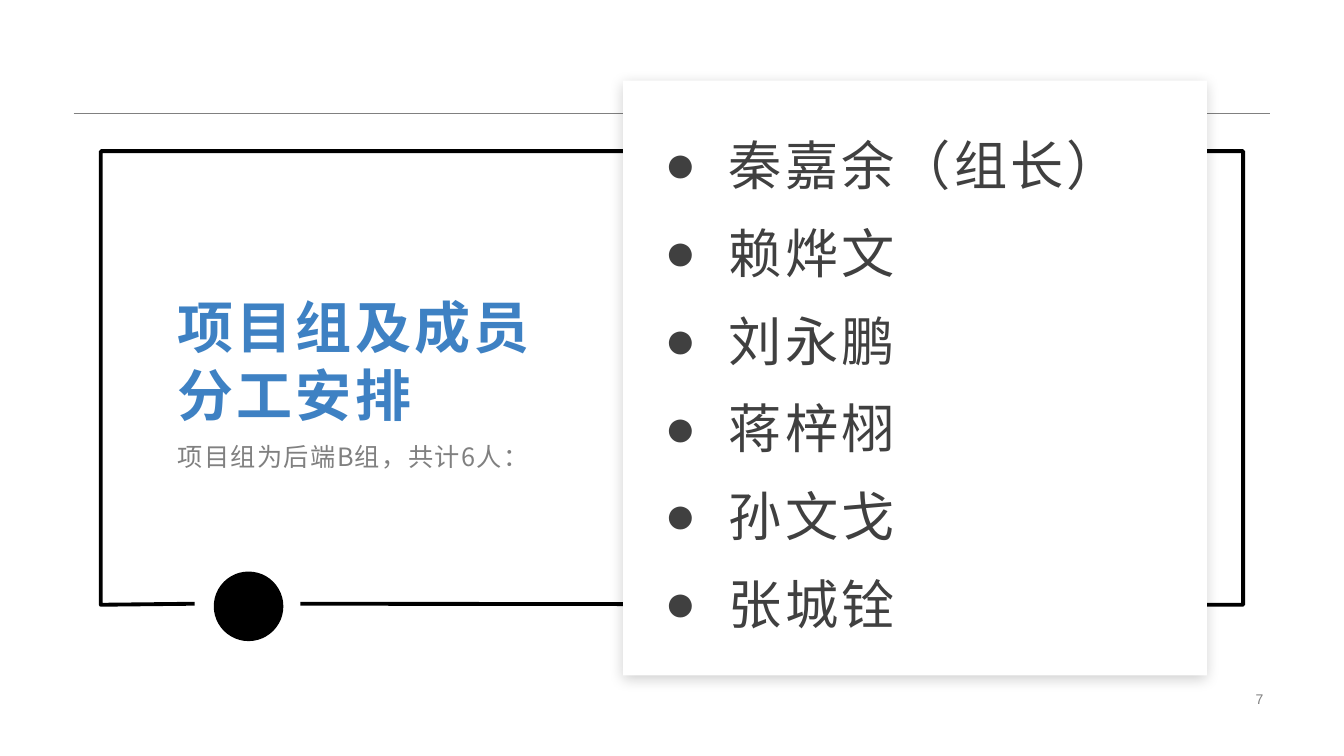
from dataclasses import dataclass

from lxml.etree import SubElement
from pptx import Presentation
from pptx.dml.color import RGBColor
from pptx.enum.shapes import MSO_CONNECTOR, MSO_SHAPE
from pptx.enum.text import MSO_ANCHOR, PP_ALIGN
from pptx.oxml.ns import qn
from pptx.util import Pt

PX = 9144


@dataclass(frozen=True)
class Theme:
    font: str = "Noto Sans CJK SC"
    number_font: str = "Arial"
    black: str = "000000"
    white: str = "FFFFFF"
    gray: str = "808080"
    blue: str = "3E81C3"
    body: str = "404040"
    shadow: str = "0D0D0D"
    title_size: int = 40
    subtitle_size: int = 18
    member_size: int = 38
    number_size: int = 10


THEME = Theme()
MEMBERS = ["秦嘉余（组长）", "赖烨文", "刘永鹏", "蒋梓栩", "孙文戈", "张城铨"]


def px(*lengths):
    return [length * PX for length in lengths]


def color(value):
    return RGBColor.from_string(value)


def add_rule(slide, start, end):
    line = slide.shapes.add_connector(MSO_CONNECTOR.STRAIGHT, *px(*start, *end))
    line.line.color.rgb = color(THEME.gray)
    line.line.width = Pt(0.25)
    SubElement(line._element.spPr, qn("a:effectLst"))


def add_frame(slide, points):
    builder = slide.shapes.build_freeform(*points[0], scale=PX)
    builder.add_line_segments(points[1:], close=False)
    frame = builder.convert_to_shape()
    frame.shadow.inherit = False
    frame.fill.background()
    frame.line.color.rgb = color(THEME.black)
    frame.line.width = Pt(2.75)


def add_block(slide, preset, box, fill):
    shape = slide.shapes.add_shape(preset, *px(*box))
    shape.shadow.inherit = False
    shape.fill.solid()
    shape.fill.fore_color.rgb = color(fill)
    shape.line.fill.background()
    return shape


def add_shadow(shape):
    effects = shape._element.spPr.find(qn("a:effectLst"))
    shadow = SubElement(
        effects, qn("a:outerShdw"), blurRad=str(Pt(10)), dist=str(Pt(3)),
        dir="5400000", algn="t", rotWithShape="0",
    )
    tint = SubElement(shadow, qn("a:srgbClr"), val=THEME.shadow)
    SubElement(tint, qn("a:alpha"), val="20000")


def add_text(slide, box, text, size, ink, font=THEME.font, bold=False,
             spacing=0, anchor=MSO_ANCHOR.TOP, align=PP_ALIGN.LEFT):
    text_frame = slide.shapes.add_textbox(*px(*box)).text_frame
    text_frame.word_wrap = True
    text_frame.vertical_anchor = anchor
    text_frame.margin_left, text_frame.margin_right = px(7, 7)
    text_frame.margin_top, text_frame.margin_bottom = px(3, 3)
    text_frame.text = text
    for paragraph in text_frame.paragraphs:
        paragraph.alignment = align
        for run in paragraph.runs:
            run.font.name = font
            run.font.size = Pt(size)
            run.font.bold = bold
            run.font.color.rgb = color(ink)
            properties = run.font._element
            properties.set("spc", str(round(spacing * 100)))
            SubElement(properties, qn("a:ea"), typeface=font)
    return text_frame


def add_bullets(text_frame, indent):
    for paragraph in text_frame.paragraphs:
        paragraph.line_spacing = 1.2
        paragraph.space_after = Pt(8)
        properties = paragraph._p.get_or_add_pPr()
        properties.set("marL", str(indent * PX))
        properties.set("indent", str(-indent * PX))
        SubElement(properties, qn("a:buFont"), typeface="Arial")
        SubElement(properties, qn("a:buChar"), char="●")


def main():
    presentation = Presentation()
    presentation.slide_width, presentation.slide_height = px(1333, 750)
    slide = presentation.slides.add_slide(presentation.slide_layouts[6])

    add_rule(slide, (73, 112), (1260, 112))
    add_frame(slide, [(193, 599), (100, 600), (100, 150),
                      (1233, 150), (1233, 600), (298, 599)])
    add_block(slide, MSO_SHAPE.OVAL, (212, 567, 69, 69), THEME.black)
    card = add_block(slide, MSO_SHAPE.RECTANGLE, (618, 80, 579, 590), THEME.white)
    add_shadow(card)

    add_text(slide, (169, 273, 396, 154), "项目组及成员分工安排", THEME.title_size,
             THEME.blue, bold=True, spacing=2.4, anchor=MSO_ANCHOR.BOTTOM)
    add_text(slide, (169, 435, 396, 42), "项目组为后端B组，共计6人：",
             THEME.subtitle_size, THEME.gray, spacing=1)
    members = add_text(slide, (652, 113, 513, 523), "\n".join(MEMBERS),
                       THEME.member_size, THEME.body, spacing=2.2,
                       anchor=MSO_ANCHOR.MIDDLE)
    add_bullets(members, 64)
    add_text(slide, (942, 682, 318, 23), "7", THEME.number_size, THEME.gray,
             font=THEME.number_font, anchor=MSO_ANCHOR.MIDDLE, align=PP_ALIGN.RIGHT)

    presentation.save("out.pptx")


if __name__ == "__main__":
    main()
